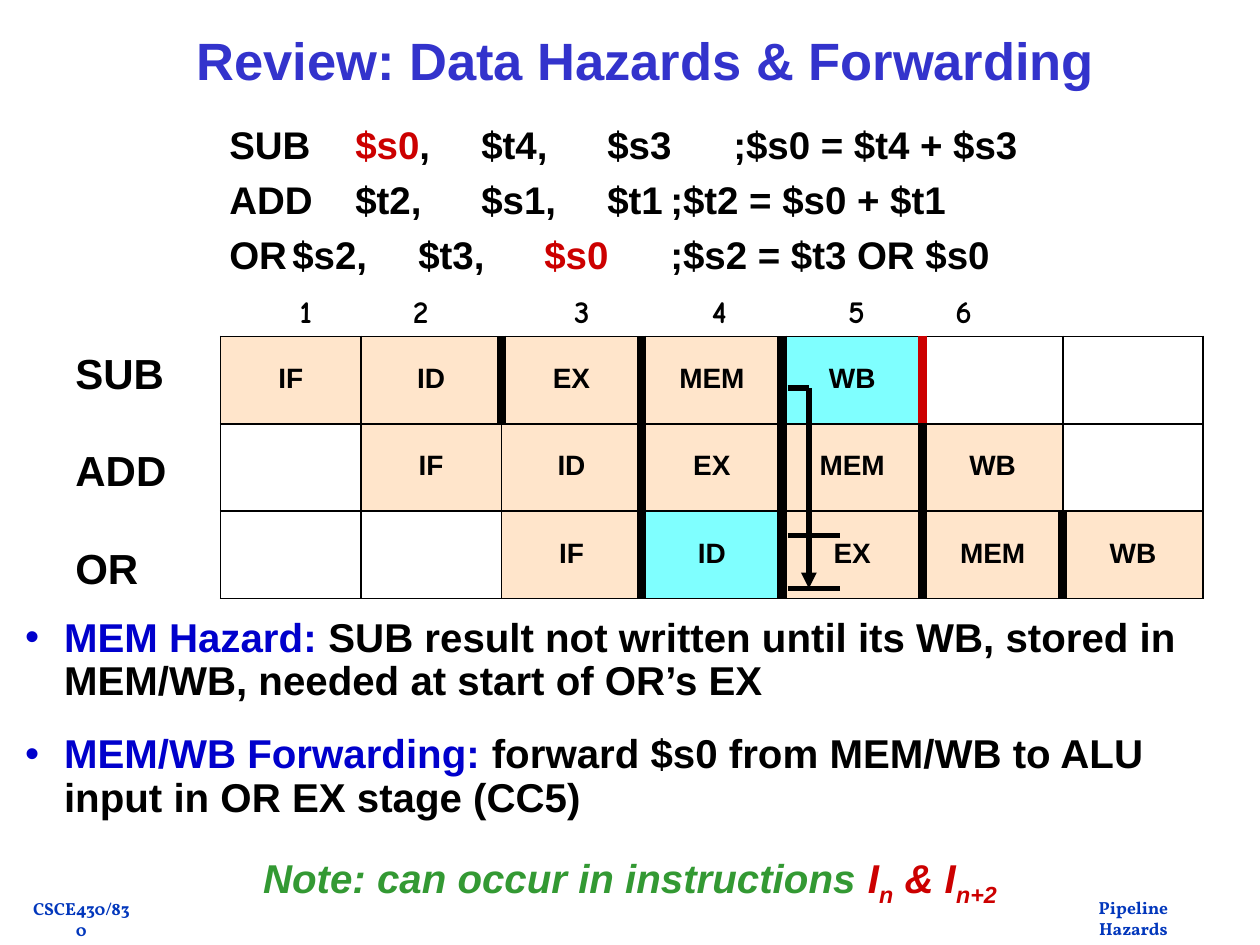
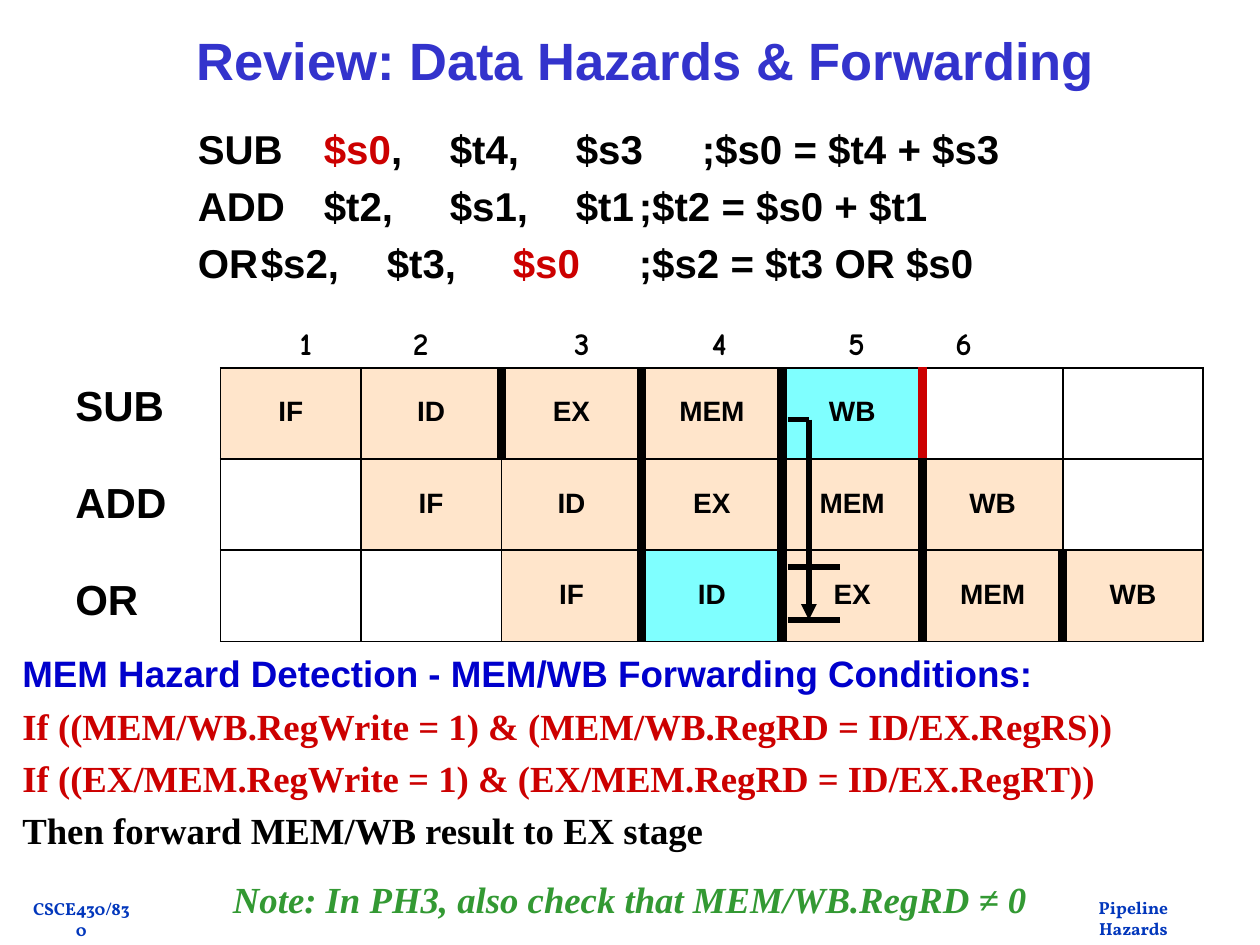
import dataclasses

import lxml.etree
import pptx
import pptx.dml.color
import pptx.enum.shapes
import pptx.enum.text
import pptx.oxml.ns
import pptx.util

Inches = pptx.util.Inches
Pt = pptx.util.Pt
ALIGN = pptx.enum.text.PP_ALIGN
ANCHOR = pptx.enum.text.MSO_ANCHOR


@dataclasses.dataclass(frozen=True)
class Theme:
    black: str = "000000"
    red: str = "CC0000"
    blue: str = "0000CC"
    green: str = "339933"
    title_blue: str = "3333CC"
    footer_blue: str = "0237BC"
    stage: str = "FFCC99"
    forwarded: str = "00FFFF"
    sans: str = "Arial"
    serif: str = "Times New Roman"
    cycle_font: str = "Comic Neue"
    footer_font: str = "Vollkorn"
    title_size: int = 30
    label_size: int = 24
    cycle_size: int = 18
    cell_size: int = 16
    footer_size: int = 10
    tight: float = 0.9


THEME = Theme()

# Code listing: text and whether it is the hazard register
CODE = [
    [("SUB\t", False), ("$s0", True), (",\t$t4,\t$s3\t;$s0 = $t4 + $s3", False)],
    [("ADD\t$t2,\t$s1,\t$t1\t;$t2 = $s0 + $t1", False)],
    [("OR\t$s2,\t$t3,\t", False), ("$s0", True), ("\t;$s2 = $t3 OR $s0", False)],
]
CODE_STOPS = (0.9, 1.7, 2.53, 3.7)  # at 22 points
CODE_BASE_SIZE = 22

# Pipeline diagram: instruction n starts in cycle n
INSTRUCTIONS = ("SUB", "ADD", "OR")
STAGES = ("IF", "ID", "EX", "MEM", "WB")
CYCLE_COUNT = 7
CYCLE_STOPS = (1.41, 2.32, 3.6, 4.69, 5.78, 6.63)
FORWARDED_CELLS = {(0, 4), (2, 3)}
# Pipeline registers, drawn to the right of these columns in each row
REGISTERS = [
    {1: THEME.black, 2: THEME.black, 3: THEME.black, 4: THEME.red},
    {2: THEME.black, 3: THEME.black, 4: THEME.black},
    {2: THEME.black, 3: THEME.black, 4: THEME.black, 5: THEME.black},
]


def add_xml(parent, tag, **attributes):
    return lxml.etree.SubElement(parent, pptx.oxml.ns.qn(tag), attributes)


def add_span(para, text, size, color=THEME.black, font=THEME.sans,
             italic=False, baseline=0):
    span = para.add_run()
    span.text = text
    span.font.size = Pt(size)
    span.font.name = font
    span.font.bold = True
    span.font.italic = italic
    span.font.color.rgb = pptx.dml.color.RGBColor.from_string(color)
    if baseline:
        span.font._element.set("baseline", str(baseline * 1000))


def next_para(frame, first, before=0, spacing=None, align=None):
    para = frame.paragraphs[0] if first else frame.add_paragraph()
    para.alignment = align
    if spacing:
        para.line_spacing = spacing
    para.space_before = Pt(0 if first else before)
    return para


def set_bullet(para, color=None, hanging=0.0):
    """Give a paragraph a coloured bullet, or none."""
    properties = para._p.get_or_add_pPr()
    properties.set("marL", str(Inches(hanging)))
    properties.set("indent", str(-Inches(hanging)))
    if color is None:
        add_xml(properties, "a:buNone")
        return
    add_xml(add_xml(properties, "a:buClr"), "a:srgbClr", val=color)
    add_xml(properties, "a:buFont", typeface=THEME.sans)
    add_xml(properties, "a:buChar", char="•")


def set_tabs(para, stops, align="l"):
    tabs = add_xml(para._p.get_or_add_pPr(), "a:tabLst")
    for stop in stops:
        add_xml(tabs, "a:tab", pos=str(Inches(stop)), algn=align)


def place(shape, left, top, width, height):
    shape.left, shape.top = Inches(left), Inches(top)
    shape.width, shape.height = Inches(width), Inches(height)


def add_box(page, left, top, width, height):
    box = page.shapes.add_textbox(Inches(left), Inches(top), Inches(width), Inches(height))
    box.text_frame.word_wrap = True
    return box


def add_footers(deck, page):
    """Put the course and topic lines on the slide master."""
    for text, left, top, width in (("Pipeline Hazards", 8.62, 7.07, 0.75),
                                   ("CSCE430/830", 0.13, 7.08, 1.03)):
        box = add_box(page, left, top, width, 0.26)
        para = next_para(box.text_frame, True, align=ALIGN.CENTER)
        add_span(para, text, THEME.footer_size, THEME.footer_blue, THEME.footer_font)
        deck.slide_master.element.cSld.spTree.append(box.element)


def add_title(page, text):
    title = page.shapes.title
    place(title, 0.25, 0.17, 9.75, 0.67)
    title.text_frame.auto_size = pptx.enum.text.MSO_AUTO_SIZE.NONE
    title.text_frame.vertical_anchor = ANCHOR.MIDDLE
    para = next_para(title.text_frame, True, spacing=THEME.tight, align=ALIGN.CENTER)
    add_span(para, text, THEME.title_size, THEME.title_blue)


def add_code(page, left, size, inset_top):
    body = page.placeholders[1]
    place(body, left, 0.83, 9.58, 2.5)
    frame = body.text_frame
    frame.auto_size = pptx.enum.text.MSO_AUTO_SIZE.NONE
    frame.margin_left, frame.margin_top = Inches(1.4), Inches(inset_top)
    for number, line in enumerate(CODE):
        para = next_para(frame, number == 0, 7.8, THEME.tight)
        set_bullet(para)
        set_tabs(para, [stop * size / CODE_BASE_SIZE for stop in CODE_STOPS])
        for text, hazard in line:
            add_span(para, text, size, THEME.red if hazard else THEME.black)


def add_row_labels(page, top):
    box = add_box(page, 0.5, top, 1, 2.1)
    box.text_frame.margin_top = Inches(0.09)
    for number, name in enumerate(INSTRUCTIONS):
        para = next_para(box.text_frame, number == 0, 26.7)
        add_span(para, name, THEME.label_size)


def add_cycle_numbers(page, top):
    box = add_box(page, 0.92, top - 0.4, 8, 0.4)
    para = next_para(box.text_frame, True, align=ALIGN.LEFT)
    set_tabs(para, CYCLE_STOPS, "ctr")
    text = "".join(f"\t{cycle}" for cycle in range(1, len(CYCLE_STOPS) + 1))
    add_span(para, text, THEME.cycle_size, font=THEME.cycle_font)


def set_borders(cell, left, right):
    """Thin black lines, with a thick one where a register colour is given."""
    properties = cell._tc.get_or_add_tcPr()
    edges = (("a:lnL", left), ("a:lnR", right), ("a:lnT", None), ("a:lnB", None))
    for position, (tag, register) in enumerate(edges):
        line = lxml.etree.Element(pptx.oxml.ns.qn(tag), w=str(Pt(6 if register else 1)))
        fill = add_xml(line, "a:solidFill")
        add_xml(fill, "a:srgbClr", val=register or THEME.black)
        properties.insert(position, line)


def fill_cell(cell, color):
    cell.fill.solid()
    cell.fill.fore_color.rgb = pptx.dml.color.RGBColor.from_string(color)
    for tint in cell._tc.tcPr.iter(pptx.oxml.ns.qn("a:srgbClr")):
        add_xml(tint, "a:alpha", val="50000")


def add_pipeline_table(page, top, height):
    frame = page.shapes.add_table(len(INSTRUCTIONS), CYCLE_COUNT, Inches(1.75),
                                  Inches(top), Inches(7.8), Inches(height))
    table = frame.table
    table.first_row = table.horz_banding = False
    for row, registers in enumerate(REGISTERS):
        for column in range(CYCLE_COUNT):
            cell = table.cell(row, column)
            cell.margin_left = cell.margin_right = Inches(0.05)
            cell.vertical_anchor = ANCHOR.MIDDLE
            stage = column - row
            if 0 <= stage < len(STAGES):
                forwarded = (row, column) in FORWARDED_CELLS
                fill_cell(cell, THEME.forwarded if forwarded else THEME.stage)
                para = next_para(cell.text_frame, True, spacing=THEME.tight,
                                 align=ALIGN.CENTER)
                add_span(para, STAGES[stage], THEME.cell_size)
            else:
                cell.fill.background()
            set_borders(cell, registers.get(column - 1), registers.get(column))


def add_line(page, start, end, arrow=False):
    line = page.shapes.add_connector(pptx.enum.shapes.MSO_CONNECTOR.STRAIGHT,
                                     *map(Inches, start + end))
    line.line.width = Pt(3)
    line.line.color.rgb = pptx.dml.color.RGBColor.from_string(THEME.black)
    if arrow:
        add_xml(line.line._get_or_add_ln(), "a:tailEnd", type="triangle")
    add_xml(line._element.spPr, "a:effectLst")


def add_forwarding_path(page, top):
    """Route from the MEM/WB register down to the EX input of OR."""
    source, upper, lower = top + 0.41, top + 1.58, top + 2
    add_line(page, (6.25, upper), (6.67, upper))
    add_line(page, (6.25, lower), (6.67, lower))
    add_line(page, (6.42, source), (6.42, lower), arrow=True)
    add_line(page, (6.25, source), (6.42, source))


def add_panel(page, top, height):
    panel = page.shapes.add_shape(pptx.enum.shapes.MSO_SHAPE.ROUNDED_RECTANGLE,
                                  0, Inches(top), Inches(10), Inches(height))
    panel.adjustments[0] = 0.125
    panel.shadow.inherit = False
    panel.fill.background()
    panel.line.fill.background()
    panel.text_frame.word_wrap = True
    panel.text_frame.vertical_anchor = ANCHOR.TOP
    return panel.text_frame


def add_diagram(page, top, height):
    add_row_labels(page, top)
    add_pipeline_table(page, top, height)
    add_forwarding_path(page, top)
    add_cycle_numbers(page, top)


def add_hazard_notes(page):
    size = 23
    frame = add_panel(page, 4.75, 2.75)
    points = (
        ("MEM Hazard: ", "SUB result not written until its WB, stored in MEM/WB, "
                         "needed at start of OR’s EX"),
        ("MEM/WB Forwarding: ", "forward $s0 from MEM/WB to ALU input in OR EX stage (CC5)"),
    )
    for number, (term, meaning) in enumerate(points):
        para = next_para(frame, number == 0, 17, THEME.tight, ALIGN.LEFT)
        set_bullet(para, THEME.blue, 0.31)
        add_span(para, term, size, THEME.blue)
        add_span(para, meaning, size)
    note = next_para(frame, False, 19, THEME.tight, ALIGN.CENTER)
    add_span(note, "Note: can occur in instructions ", size, THEME.green, italic=True)
    for text, baseline in (("I", 0), ("n", -25), (" & I", 0), ("n+2", -25)):
        add_span(note, text, size, THEME.red, italic=True, baseline=baseline)


def add_detection_rules(page):
    size = 21
    frame = add_panel(page, 5.08, 2.17)
    rules = (
        ("MEM Hazard Detection - MEM/WB Forwarding Conditions:", THEME.blue, THEME.sans),
        ("If ((MEM/WB.RegWrite = 1) & (MEM/WB.RegRD = ID/EX.RegRS))", THEME.red, THEME.serif),
        ("If ((EX/MEM.RegWrite = 1) & (EX/MEM.RegRD = ID/EX.RegRT))", THEME.red, THEME.serif),
        ("Then forward MEM/WB result to EX stage", THEME.black, THEME.serif),
    )
    for number, (text, color, font) in enumerate(rules):
        para = next_para(frame, number == 0, 7.2, THEME.tight, ALIGN.LEFT)
        add_span(para, text, size, color, font)
    note = next_para(frame, False, 16.6, THEME.tight, ALIGN.CENTER)
    add_span(note, "Note: In PH3, also check that MEM/WB.RegRD ≠ 0", size,
             THEME.green, THEME.serif, italic=True)


def main():
    deck = pptx.Presentation()
    deck.slide_width, deck.slide_height = Inches(10), Inches(7.5)
    pages = [deck.slides.add_slide(deck.slide_layouts[1]) for _ in range(2)]
    add_footers(deck, pages[0])
    for page in pages:
        add_title(page, "Review: Data Hazards & Forwarding")

    # Hazard and forwarding explained
    add_code(pages[0], 0.42, 22, 0.17)
    add_diagram(pages[0], 2.67, 2.08)
    add_hazard_notes(pages[0])

    # Detection conditions
    add_code(pages[1], 0.17, 23, 0.2)
    add_diagram(pages[1], 2.92, 2.17)
    add_detection_rules(pages[1])

    deck.save("out.pptx")


if __name__ == "__main__":
    main()
